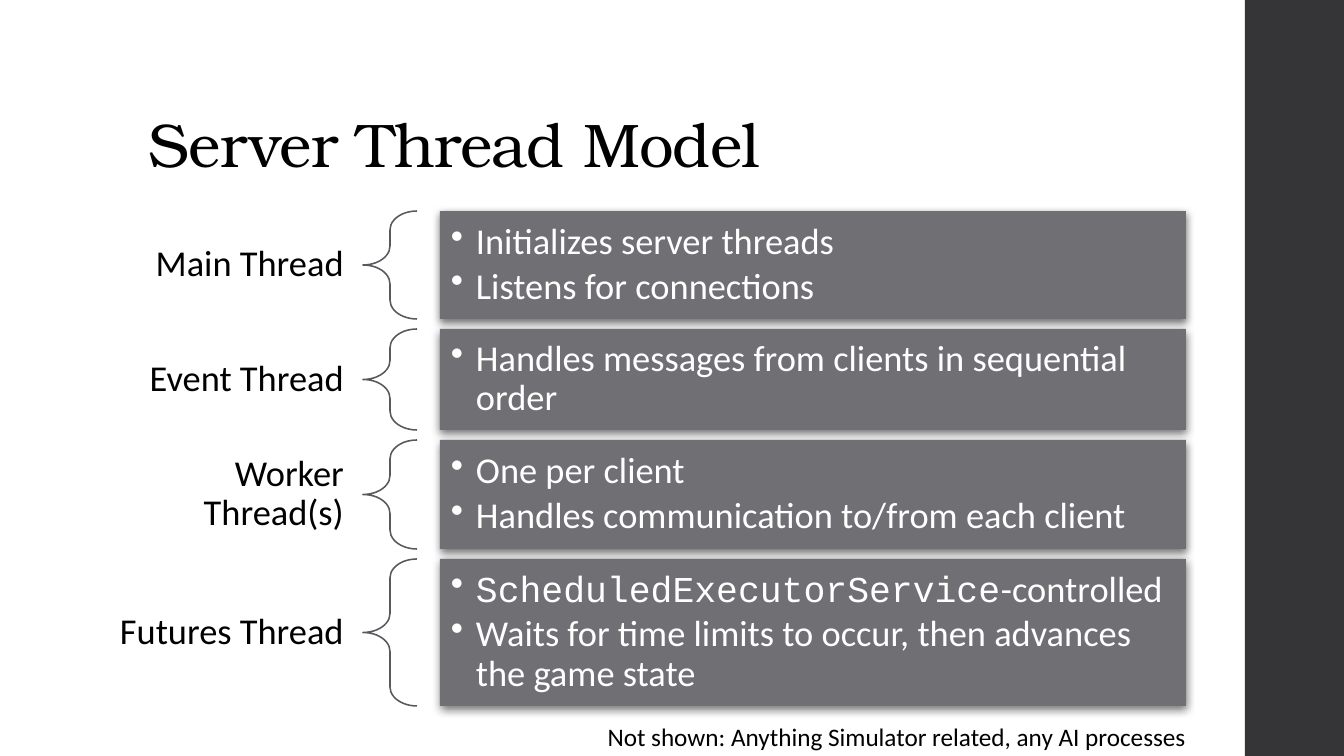
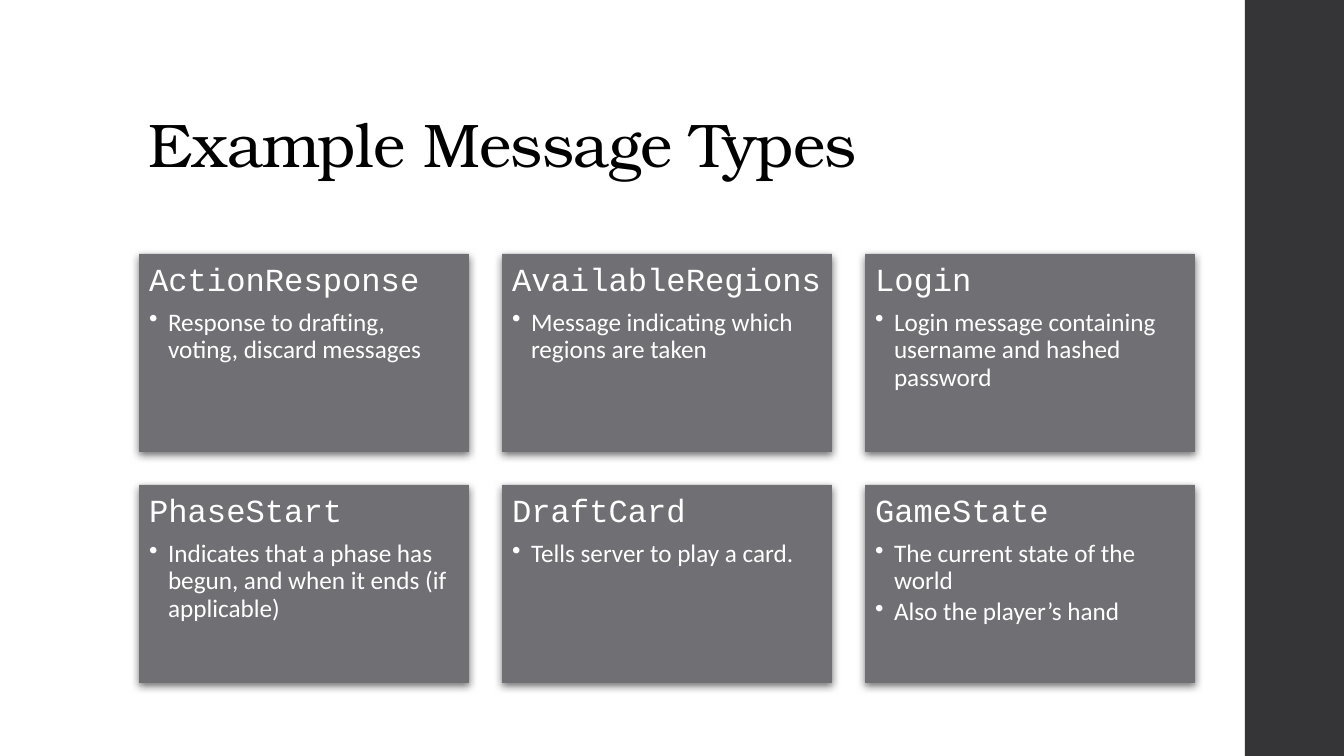
from lxml import etree
from pptx import Presentation
from pptx.dml.color import RGBColor
from pptx.enum.shapes import MSO_SHAPE
from pptx.enum.text import MSO_ANCHOR, PP_ALIGN
from pptx.oxml.ns import qn
from pptx.util import Emu, Pt

# Content
THREADS_TITLE = "Server Thread Model"
THREADS_NOTE = "Not shown: Anything Simulator related, any AI processes"
MONO, BODY, HEADING = "Courier New", "Calibri", "TeX Gyre Bonum"
# Label, row height, bullets; a bullet is a string or a list of (text, font) runs
THREADS = [
    ("Main Thread", 108, ["Initializes server threads", "Listens for connections"]),
    ("Event Thread", 101, ["Handles messages from clients in sequential order"]),
    ("Worker Thread(s)", 109,
     ["One per client", "Handles communication to/from each client"]),
    ("Futures Thread", 147,
     [[("ScheduledExecutorService", MONO), ("-controlled", BODY)],
      "Waits for time limits to occur, then advances the game state"]),
]
MESSAGES_TITLE = "Example Message Types"
MESSAGES = [
    ("ActionResponse", ["Response to drafting, voting, discard messages"]),
    ("AvailableRegions", ["Message indicating which regions are taken"]),
    ("Login", ["Login message containing username and hashed password"]),
    ("PhaseStart",
     ["Indicates that a phase has begun, and when it ends (if applicable)"]),
    ("DraftCard", ["Tells server to play a card."]),
    ("GameState", ["The current state of the world", "Also the player’s hand"]),
]

# Shared style
BLACK = RGBColor(0x00, 0x00, 0x00)
WHITE = RGBColor(0xFF, 0xFF, 0xFF)
BAND = RGBColor(0x35, 0x35, 0x37)
CARD = RGBColor(0x6F, 0x6F, 0x74)
BRACE_LINE = RGBColor(0x59, 0x59, 0x5D)
RECTANGLE, LEFT_BRACE = MSO_SHAPE.RECTANGLE, MSO_SHAPE.LEFT_BRACE
TOP, MIDDLE, BOTTOM = MSO_ANCHOR.TOP, MSO_ANCHOR.MIDDLE, MSO_ANCHOR.BOTTOM
LEFT, RIGHT = PP_ALIGN.LEFT, PP_ALIGN.RIGHT
SLIDE_WIDTH, SLIDE_HEIGHT = 1344, 756
BAND_LEFT = 1245


def px(pixels):
    return Emu(round(pixels * 914400 / 100.8))


def set_frame(shape, anchor, inset_x, inset_y):
    frame = shape.text_frame
    frame.word_wrap = True
    frame.vertical_anchor = anchor
    frame.margin_left = frame.margin_right = px(inset_x)
    frame.margin_top = frame.margin_bottom = px(inset_y)


def add_text(shape, text, size, font=BODY, color=BLACK, align=LEFT,
             line_spacing=0.9, space_after=0, bullet_indent=0, tracking=0):
    """Add one paragraph; space_after is a share of the text size."""
    frame = shape.text_frame
    paragraph = frame.add_paragraph() if frame.text else frame.paragraphs[0]
    paragraph.alignment = align
    paragraph.line_spacing = line_spacing
    paragraph.space_after = Pt(round(size * space_after, 1))
    if bullet_indent:
        properties = paragraph._p.get_or_add_pPr()
        properties.set("marL", str(px(bullet_indent)))
        properties.set("indent", str(-px(bullet_indent)))
        etree.SubElement(properties, qn("a:buChar")).set("char", "•")
    for run_text, run_font in [(text, font)] if isinstance(text, str) else text:
        run = paragraph.add_run()
        run.text = run_text
        run.font.name = run_font
        run.font.size = Pt(size)
        run.font.color.rgb = color
        if tracking:
            run._r.get_or_add_rPr().set("spc", str(round(tracking * 100)))


def add_text_box(slide, left, top, width, height, anchor, inset_x, inset_y):
    box = slide.shapes.add_textbox(px(left), px(top), px(width), px(height))
    set_frame(box, anchor, inset_x, inset_y)
    return box


def add_shape(slide, kind, left, top, width, height, fill=None, line=None):
    shape = slide.shapes.add_shape(kind, px(left), px(top), px(width), px(height))
    shape.shadow.inherit = False
    if fill is None:
        shape.fill.background()
    else:
        shape.fill.solid()
        shape.fill.fore_color.rgb = fill
    if line is None:
        shape.line.fill.background()
    else:
        shape.line.color.rgb = line
        shape.line.width = Pt(1.1)
    return shape


def add_card(slide, left, top, width, height, anchor, inset):
    """Grey rectangle with a soft shadow below it."""
    card = add_shape(slide, RECTANGLE, left, top, width, height, fill=CARD)
    effects = card._element.spPr.find(qn("a:effectLst"))
    shadow = etree.SubElement(effects, qn("a:outerShdw"), blurRad=str(Pt(6)),
                              dist=str(Pt(2)), dir="5400000", algn="ctr",
                              rotWithShape="0")
    shadow_color = etree.SubElement(shadow, qn("a:srgbClr"), val=str(BLACK))
    etree.SubElement(shadow_color, qn("a:alpha"), val="55000")
    set_frame(card, anchor, inset, inset)
    return card


def add_bullets(shape, bullets, size, indent):
    for bullet in bullets:
        add_text(shape, bullet, size, color=WHITE, space_after=0.15,
                 bullet_indent=indent)


def add_slide(presentation, title):
    """Blank slide with the side band and the title."""
    slide = presentation.slides.add_slide(presentation.slide_layouts[6])
    add_shape(slide, RECTANGLE, BAND_LEFT, 0, SLIDE_WIDTH - BAND_LEFT,
              SLIDE_HEIGHT, fill=BAND)
    box = add_text_box(slide, 139, 40, 1068, 146, BOTTOM, 10, 5)
    add_text(box, title, 44, font=HEADING, tracking=-0.5)
    return slide


presentation = Presentation()
presentation.slide_width = px(SLIDE_WIDTH)
presentation.slide_height = px(SLIDE_HEIGHT)

# Thread rows: label, brace, card
slide = add_slide(presentation, THREADS_TITLE)
row_top, row_gap = 211, 10
for label, row_height, bullets in THREADS:
    label_box = add_text_box(slide, 90, row_top, 274, row_height, MIDDLE, 20, 7)
    add_text(label_box, label, 26, align=RIGHT, space_after=0.35)
    brace = add_shape(slide, LEFT_BRACE, 363, row_top, 54, row_height,
                      line=BRACE_LINE)
    brace.adjustments[0] = 0.35
    card = add_card(slide, 440, row_top, 746, row_height, MIDDLE, 11)
    add_bullets(card, bullets, 26, 25)
    row_top += row_height + row_gap
note = add_text_box(slide, 555, 716, 641, 40, TOP, 10, 5)
add_text(note, THREADS_NOTE, 18, align=RIGHT, line_spacing=1.0)

# Message cards in a grid
slide = add_slide(presentation, MESSAGES_TITLE)
columns, card_width, card_height, card_gap = 3, 330, 198, 33
for index, (name, bullets) in enumerate(MESSAGES):
    row, column = divmod(index, columns)
    card = add_card(slide, 139 + column * (card_width + card_gap),
                    254 + row * (card_height + card_gap),
                    card_width, card_height, TOP, 10)
    add_text(card, name, 23, font=MONO, color=WHITE, space_after=0.35)
    add_bullets(card, bullets, 18, 19)

presentation.save("out.pptx")
